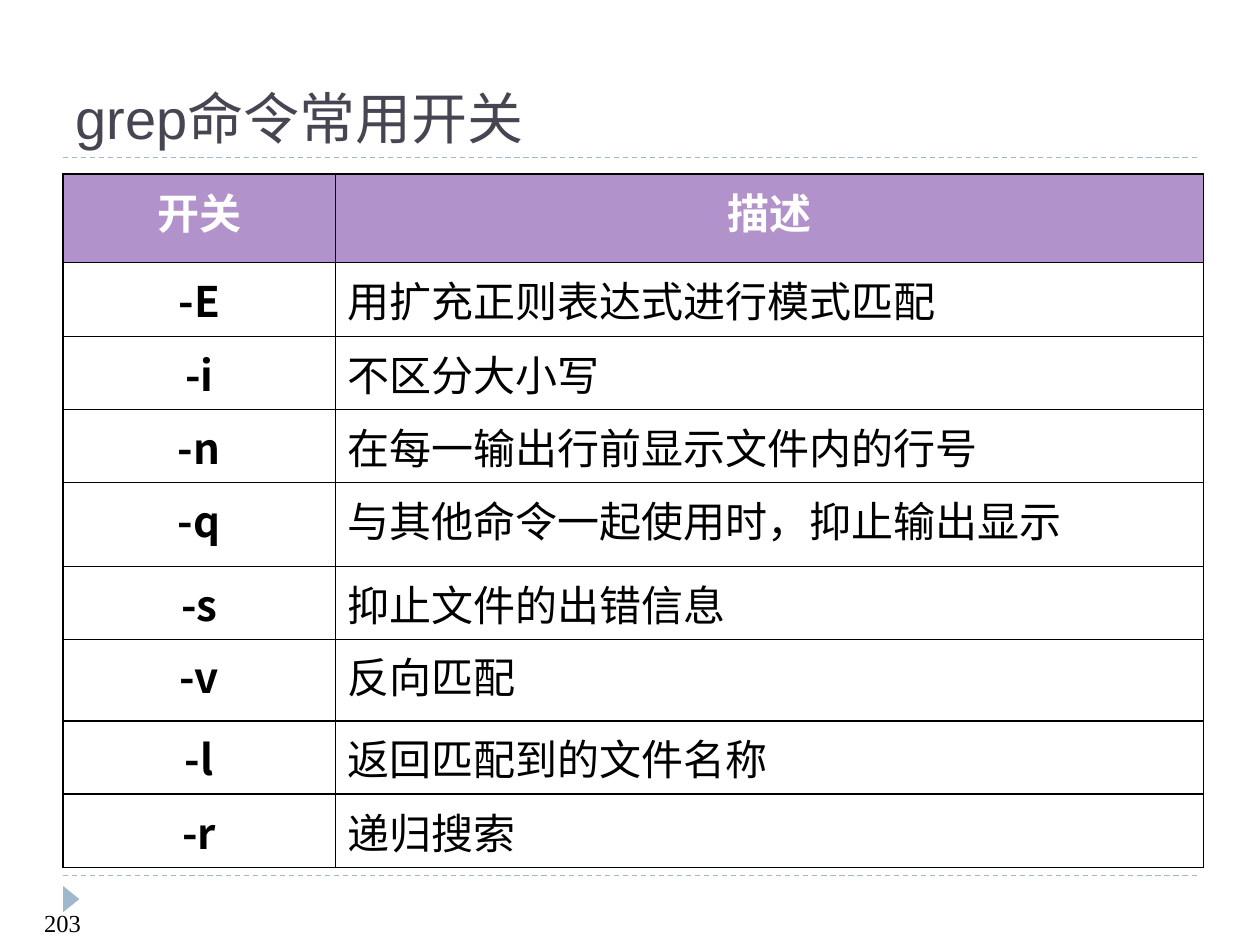
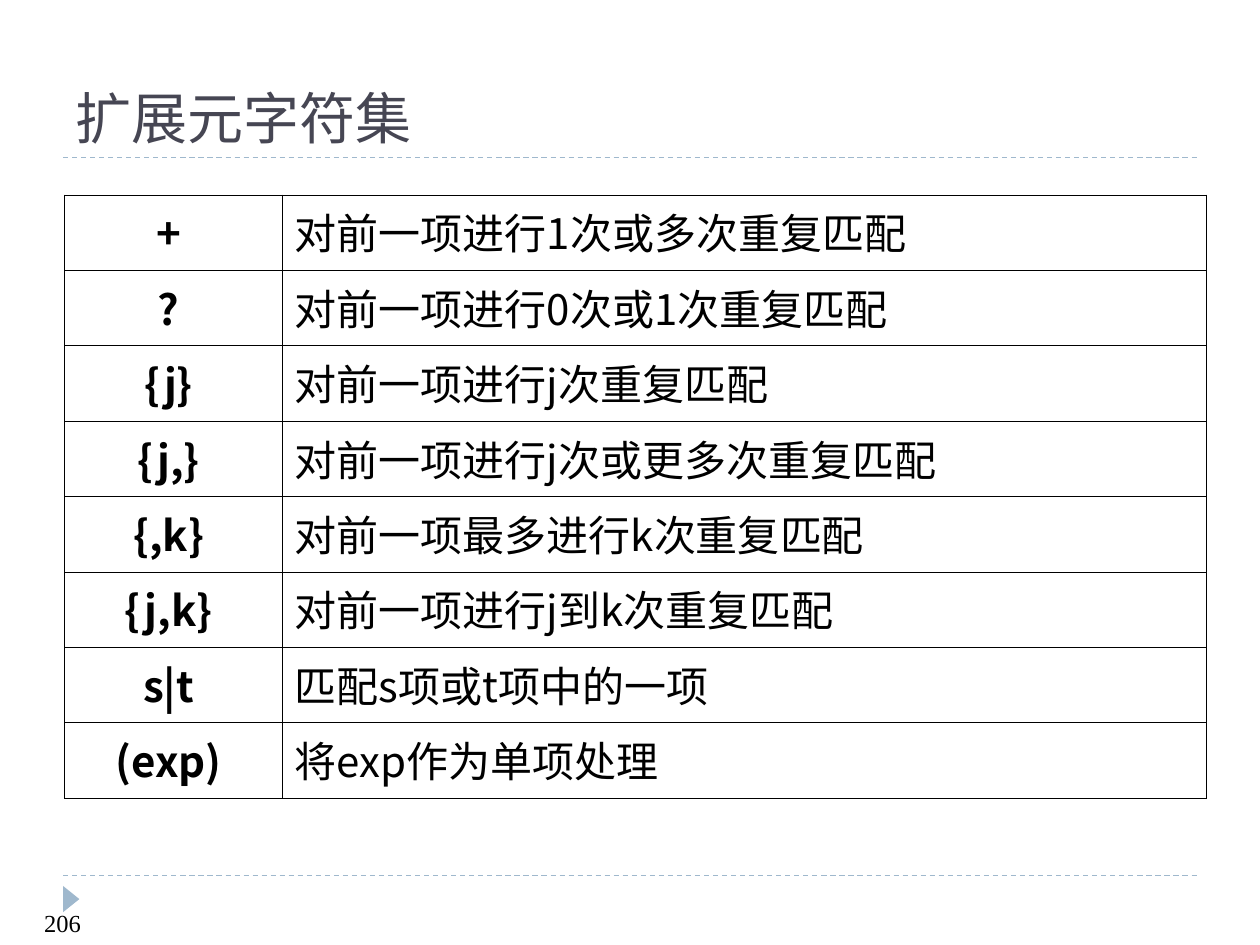
from lxml.etree import SubElement
from pptx import Presentation
from pptx.dml.color import RGBColor
from pptx.enum.dml import MSO_LINE
from pptx.enum.shapes import MSO_CONNECTOR, MSO_SHAPE
from pptx.enum.text import MSO_ANCHOR, PP_ALIGN
from pptx.oxml.ns import qn
from pptx.util import Cm, Pt

BLACK = RGBColor(0x00, 0x00, 0x00)
WHITE = RGBColor(0xFF, 0xFF, 0xFF)
SLATE = RGBColor(0x46, 0x46, 0x53)
PALE_BLUE = RGBColor(0x9F, 0xB8, 0xCD)
PURPLE = RGBColor(0xB2, 0x92, 0xCA)

TITLE_FONT = "Arial"
TABLE_FONT = "Noto Sans CJK SC"
NUMBER_FONT = "Times New Roman"
THIN, HEAVY = Pt(0.45), Pt(1.08)

SWITCHES = [
    ("开关", "描述"),
    ("-E", "用扩充正则表达式进行模式匹配"),
    ("-i", "不区分大小写"),
    ("-n", "在每一输出行前显示文件内的行号"),
    ("-q", "与其他命令一起使用时，抑止输出显示"),
    ("-s", "抑止文件的出错信息"),
    ("-v", "反向匹配"),
    ("-l", "返回匹配到的文件名称"),
    ("-r", "递归搜索"),
]
SWITCH_ROW_HEIGHTS = [1.78, 1.5, 1.47, 1.47, 1.68, 1.47, 1.65, 1.48, 1.48]

METACHARACTERS = [
    ("+ ", "对前一项进行1次或多次重复匹配"),
    ("? ", "对前一项进行0次或1次重复匹配"),
    ("{j} ", "对前一项进行j次重复匹配"),
    ("{j,} ", "对前一项进行j次或更多次重复匹配"),
    ("{,k} ", "对前一项最多进行k次重复匹配"),
    ("{j,k} ", "对前一项进行j到k次重复匹配"),
    ("s|t ", "匹配s项或t项中的一项"),
    ("(exp) ", "将exp作为单项处理"),
]


def write_text(frame, text, *, font, size, color=BLACK, bold=False, align=PP_ALIGN.LEFT):
    paragraph = frame.paragraphs[0]
    paragraph.alignment = align
    run = paragraph.add_run()
    run.text = text
    run.font.name = font
    run.font.size = Pt(size)
    run.font.bold = bold
    run.font.color.rgb = color
    SubElement(run.font._element, qn("a:ea"), typeface=font)


def set_borders(cell, widths):
    """Draw black borders; widths maps the sides L, R, T, B, in that order."""
    properties = cell._tc.get_or_add_tcPr()
    for side, width in widths.items():
        line = SubElement(properties, qn(f"a:ln{side}"), w=str(int(width)))
        fill = SubElement(line, qn("a:solidFill"))
        SubElement(fill, qn("a:srgbClr"), val=str(BLACK))


class Deck:
    """Holds the shared style and the slide being built."""

    def __init__(self):
        self.presentation = Presentation()
        self.presentation.slide_width = Cm(25.4)
        self.presentation.slide_height = Cm(19.05)
        self.slide = None

    def add_slide(self, title, number):
        self.slide = self.presentation.slides.add_slide(self.presentation.slide_layouts[6])
        for y in (17.65, 3.18):
            self.add_rule(y)
        self.add_marker()
        self.add_text(title, 1.27, 0.43, 22.86, 2.74, anchor=MSO_ANCHOR.BOTTOM,
                      font=TITLE_FONT, size=32, color=SLATE)
        self.add_text(number, 0.64, 18.19, 5.92, 0.61, font=NUMBER_FONT, size=14)

    def add_rule(self, y):
        rule = self.slide.shapes.add_connector(
            MSO_CONNECTOR.STRAIGHT, Cm(1.27), Cm(y), Cm(24.13), Cm(y))
        rule.line.color.rgb = PALE_BLUE
        rule.line.width = Pt(0.75)
        rule.line.dash_style = MSO_LINE.DASH
        SubElement(rule._element.spPr, qn("a:effectLst"))

    def add_marker(self):
        marker = self.slide.shapes.add_shape(
            MSO_SHAPE.ISOSCELES_TRIANGLE, Cm(1.17), Cm(17.96), Cm(0.53), Cm(0.33))
        marker.rotation = 90
        marker.shadow.inherit = False
        marker.fill.solid()
        marker.fill.fore_color.rgb = PALE_BLUE
        marker.line.fill.background()

    def add_text(self, text, left, top, width, height, anchor=MSO_ANCHOR.TOP, **text_format):
        box = self.slide.shapes.add_textbox(Cm(left), Cm(top), Cm(width), Cm(height))
        box.text_frame.word_wrap = True
        box.text_frame.vertical_anchor = anchor
        write_text(box.text_frame, text, **text_format)

    def add_table(self, rows, left, top, column_widths, row_heights,
                  has_header=False, heavy_sides=False, heavy_edges=()):
        """heavy_edges numbers the horizontal lines, from 0 at the top."""
        table = self.slide.shapes.add_table(
            len(rows), len(column_widths), Cm(left), Cm(top),
            Cm(sum(column_widths)), Cm(sum(row_heights))).table
        table.first_row = has_header
        table.horz_banding = False
        for column, width in zip(table.columns, column_widths):
            column.width = Cm(width)
        last_column = len(column_widths) - 1
        for row_index, (texts, height) in enumerate(zip(rows, row_heights)):
            table.rows[row_index].height = Cm(height)
            is_header = has_header and row_index == 0
            for column_index, text in enumerate(texts):
                cell = table.cell(row_index, column_index)
                heavy = {
                    "L": heavy_sides and column_index == 0,
                    "R": heavy_sides and column_index == last_column,
                    "T": row_index in heavy_edges,
                    "B": row_index + 1 in heavy_edges,
                }
                set_borders(cell, {side: HEAVY if on else THIN for side, on in heavy.items()})
                if is_header:
                    cell.fill.solid()
                    cell.fill.fore_color.rgb = PURPLE
                else:
                    cell.fill.background()
                emphasized = is_header or column_index == 0
                write_text(cell.text_frame, text, font=TABLE_FONT, size=24,
                           color=WHITE if is_header else BLACK, bold=emphasized,
                           align=PP_ALIGN.CENTER if emphasized else PP_ALIGN.LEFT)


def main():
    deck = Deck()
    deck.add_slide("grep命令常用开关", "203")
    deck.add_table(SWITCHES, 1.27, 3.51, [5.49, 17.5], SWITCH_ROW_HEIGHTS,
                   has_header=True, heavy_sides=True, heavy_edges=(0, 7, 8, 9))
    deck.add_slide("扩展元字符集", "206")
    deck.add_table(METACHARACTERS, 1.3, 3.93, [4.39, 18.62], [1.52] * len(METACHARACTERS))
    deck.presentation.save("out.pptx")


if __name__ == "__main__":
    main()
